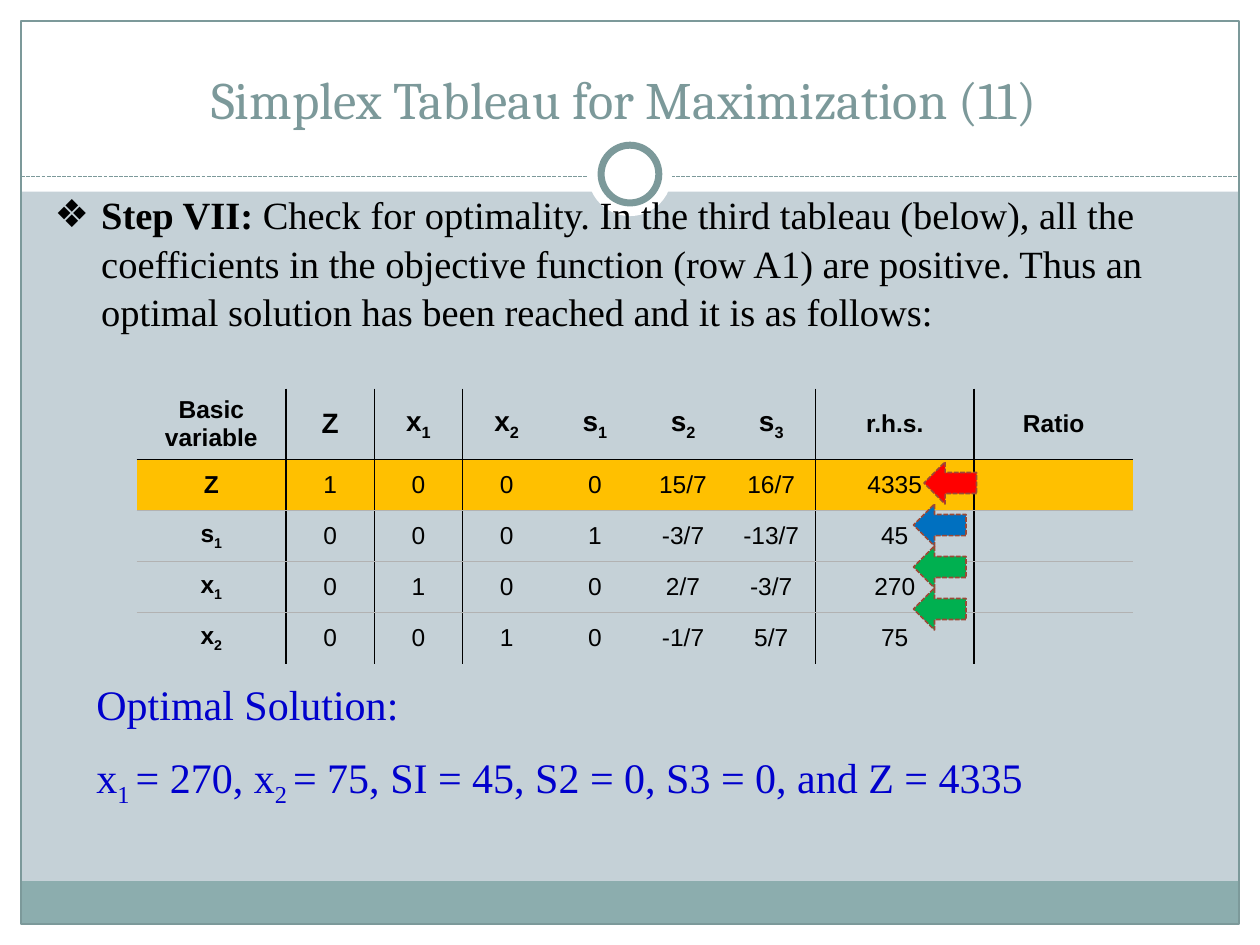
from dataclasses import dataclass

from lxml.etree import SubElement
from pptx import Presentation
from pptx.dml.color import RGBColor
from pptx.enum.dml import MSO_LINE
from pptx.enum.shapes import MSO_CONNECTOR, MSO_SHAPE
from pptx.enum.text import MSO_ANCHOR, MSO_AUTO_SIZE, PP_ALIGN
from pptx.oxml.ns import qn
from pptx.util import Pt


@dataclass(frozen=True)
class Theme:
    """Colours, fonts and type sizes of the slide."""
    back: str = "C5D1D7"
    white: str = "FFFFFF"
    band: str = "8CADAE"
    trim: str = "7C999A"
    ink: str = "000000"
    blue: str = "0000CC"
    grid: str = "B2B2B2"
    gold: str = "FFC000"
    edge: str = "9B4936"
    head: str = "Cambria"
    serif: str = "Times New Roman"
    sans: str = "Arial"
    title: int = 30
    step: int = 22
    answer: int = 24
    cell: int = 14
    symbol: int = 16


LOOK = Theme()
GRID = [
    ["Basic variable", "Z", "x_1", "x_2", "s_1", "s_2", "s_3", "r.h.s.", "Ratio"],
    ["Z", "1", "0", "0", "0", "15/7", "16/7", "4335", ""],
    ["s_1", "0", "0", "0", "1", "-3/7", "-13/7", "45", ""],
    ["x_1", "0", "1", "0", "0", "2/7", "-3/7", "270", ""],
    ["x_2", "0", "0", "1", "0", "-1/7", "5/7", "75", ""],
]
STEP = ("Check for optimality. In the third tableau (below), all the coefficients in "
        "the objective function (row A1) are positive. Thus an optimal solution has "
        "been reached and it is as follows:")
ANSWER = [
    [("Optimal Solution:", False)],
    [("x", False), ("1 ", True), ("= 270, x", False), ("2 ", True),
     ("= 75, SI = 45, S2 = 0, S3 = 0, and Z = 4335", False)],
]


def put(item, **vals):
    """Set each named value on an item."""
    for name, val in vals.items():
        setattr(item, name, val)


def place(item, box):
    """Move an item to a box given in points."""
    put(item, **dict(zip(("left", "top", "width", "height"), map(Pt, box))))


def paint(fill, tint):
    """Fill with a solid tint, or with nothing."""
    if tint:
        fill.solid()
        fill.fore_color.rgb = RGBColor.from_string(tint)
    else:
        fill.background()


def stroke(line, tint, width, dash=None):
    """Format a line."""
    paint(line.fill, tint)
    put(line, width=Pt(width), dash_style=dash)


def write(para, text, font, size, tint, bold=False, low=False):
    """Add a run to a paragraph."""
    run = para.add_run()
    run.text = text
    put(run.font, name=font, size=Pt(size), bold=bold)
    run.font.color.rgb = RGBColor.from_string(tint)
    if low:
        run._r.get_or_add_rPr().set("baseline", "-25000")


def block(slide, kind, box, tint=None, edge=None, width=0.75, dash=None):
    """Add a preset shape."""
    shape = slide.shapes.add_shape(kind, *map(Pt, box))
    shape.shadow.inherit = False
    paint(shape.fill, tint)
    if edge:
        stroke(shape.line, edge, width, dash)
    else:
        shape.line.fill.background()
    return shape


def frame(slide, box):
    """Draw the white margins, band, border, rule and ring."""
    x, y, w, h = box
    gap, rule, mid = 12, 101, x + w / 2
    paint(slide.background.fill, LOOK.back)
    for part in ((x, y + h - gap, w, gap), (x, y, w, 109.5),
                 (x, y, gap, h), (x + w - gap, y, gap, h)):
        block(slide, MSO_SHAPE.RECTANGLE, part, LOOK.white)
    inner = (x + gap, y + gap, w - 2 * gap, h - 2 * gap)
    block(slide, MSO_SHAPE.RECTANGLE, (inner[0], y + 503.5, inner[2], 24.5), LOOK.band)
    block(slide, MSO_SHAPE.RECTANGLE, inner, None, LOOK.trim)
    line = slide.shapes.add_connector(
        MSO_CONNECTOR.STRAIGHT, *map(Pt, (x + gap, y + rule, x + w - gap, y + rule)))
    stroke(line.line, LOOK.trim, 0.75, MSO_LINE.SQUARE_DOT)
    SubElement(line._element.spPr, qn("a:effectLst"))
    for size, edge in ((48, None), (33, LOOK.trim)):
        spot = (mid - size / 2, y + 99.5 - size / 2, size, size)
        block(slide, MSO_SHAPE.OVAL, spot, LOOK.white, edge, 4)


def lift(item, box):
    """Bring a placeholder to the front, place it and return its text frame."""
    item._element.getparent().append(item._element)
    place(item, box)
    put(item.text_frame, word_wrap=True, auto_size=MSO_AUTO_SIZE.NONE)
    return item.text_frame


def title(slide, box):
    """Write the title."""
    text = lift(slide.shapes.title, box)
    text.vertical_anchor = MSO_ANCHOR.BOTTOM
    para = text.paragraphs[0]
    para.alignment = PP_ALIGN.CENTER
    write(para, "Simplex Tableau for Maximization (11) ", LOOK.head, LOOK.title, LOOK.trim)


def step(slide, box):
    """Write the bulleted step."""
    para = lift(slide.placeholders[1], box).paragraphs[0]
    props = para._p.get_or_add_pPr()
    props.set("marL", str(Pt(26.64)))
    props.set("indent", str(Pt(-26.64)))
    SubElement(props, qn("a:buChar")).set("char", "❖")
    put(para, space_before=Pt(0), line_spacing=1.05)
    write(para, "Step VII: ", LOOK.serif, LOOK.step, LOOK.ink, True)
    write(para, STEP, LOOK.serif, LOOK.step, LOOK.ink)


def rim(cell, side, tint):
    """Draw one border of a cell."""
    line = SubElement(cell._tc.get_or_add_tcPr(), qn("a:ln" + side))
    line.set("w", str(Pt(1)))
    fill = SubElement(line, qn("a:solidFill"))
    SubElement(fill, qn("a:srgbClr")).set("val", tint)


def tableau(slide, box):
    """Build the simplex table."""
    rows, cols = len(GRID), len(GRID[0])
    table = slide.shapes.add_table(rows, cols, *map(Pt, box)).table
    put(table, first_row=False, horz_banding=False)
    table._tbl.tblPr[0].text = "{2D5ABB26-0587-4C30-8999-92F81FD0307C}"
    for col, width in zip(table.columns, [85.5] + [50.4] * 6 + [90.8] * 2):
        col.width = Pt(width)
    for row, high in zip(table.rows, [40.5, 24] + [26.3] * 3):
        row.height = Pt(high)
    bars = {0, 1, 6, 7}
    for r, line in enumerate(GRID):
        for c, text in enumerate(line):
            cell = table.cell(r, c)
            sides = {"L": c - 1 in bars and LOOK.ink, "R": c in bars and LOOK.ink,
                     "T": r > 0 and (LOOK.ink if r == 1 else LOOK.grid),
                     "B": r < rows - 1 and (LOOK.ink if r == 0 else LOOK.grid)}
            for side, tint in sides.items():
                if tint:
                    rim(cell, side, tint)
            paint(cell.fill, LOOK.gold if r == 1 else None)
            cell.vertical_anchor = MSO_ANCHOR.MIDDLE
            para = cell.text_frame.paragraphs[0]
            para.alignment = PP_ALIGN.CENTER
            size = LOOK.symbol if r == 0 and 0 < c < 7 else LOOK.cell
            for n, part in enumerate(text.split("_") if text else []):
                write(para, part, LOOK.sans, size, LOOK.ink, r == 0 or c == 0, n > 0)


def arrows(slide, box):
    """Stack the arrows that point at the right-hand side."""
    x, y, w, h = box
    for n, tint in enumerate(("FF0000", "0070C0", "00B050", "00B050")):
        spot = (x + (0 if n else 6), y + n * h, w, h)
        arrow = block(slide, MSO_SHAPE.RIGHT_ARROW, spot, tint, LOOK.edge, 0.9,
                      MSO_LINE.SQUARE_DOT)
        arrow.rotation = 180


def answer(slide, box):
    """Write the optimal solution."""
    text = slide.shapes.add_textbox(*map(Pt, box)).text_frame
    text.word_wrap = True
    for n, parts in enumerate(ANSWER):
        para = text.add_paragraph() if n else text.paragraphs[0]
        para.space_before = Pt(13 if n else 0)
        for part, low in parts:
            write(para, part, LOOK.serif, LOOK.answer, LOOK.blue, low=low)


def main():
    """Build and save the slide."""
    deck = Presentation()
    put(deck, slide_width=Pt(720), slide_height=Pt(540))
    slide = deck.slides.add_slide(deck.slide_layouts[1])
    frame(slide, (0, 0, 720, 540))
    title(slide, (24, 18, 672, 60))
    step(slide, (24, 104.5, 672, 87))
    tableau(slide, (78, 222, 570, 143.4))
    arrows(slide, (522, 264, 30, 24))
    answer(slide, (48, 384, 672, 80))
    deck.save("out.pptx")


if __name__ == "__main__":
    main()
